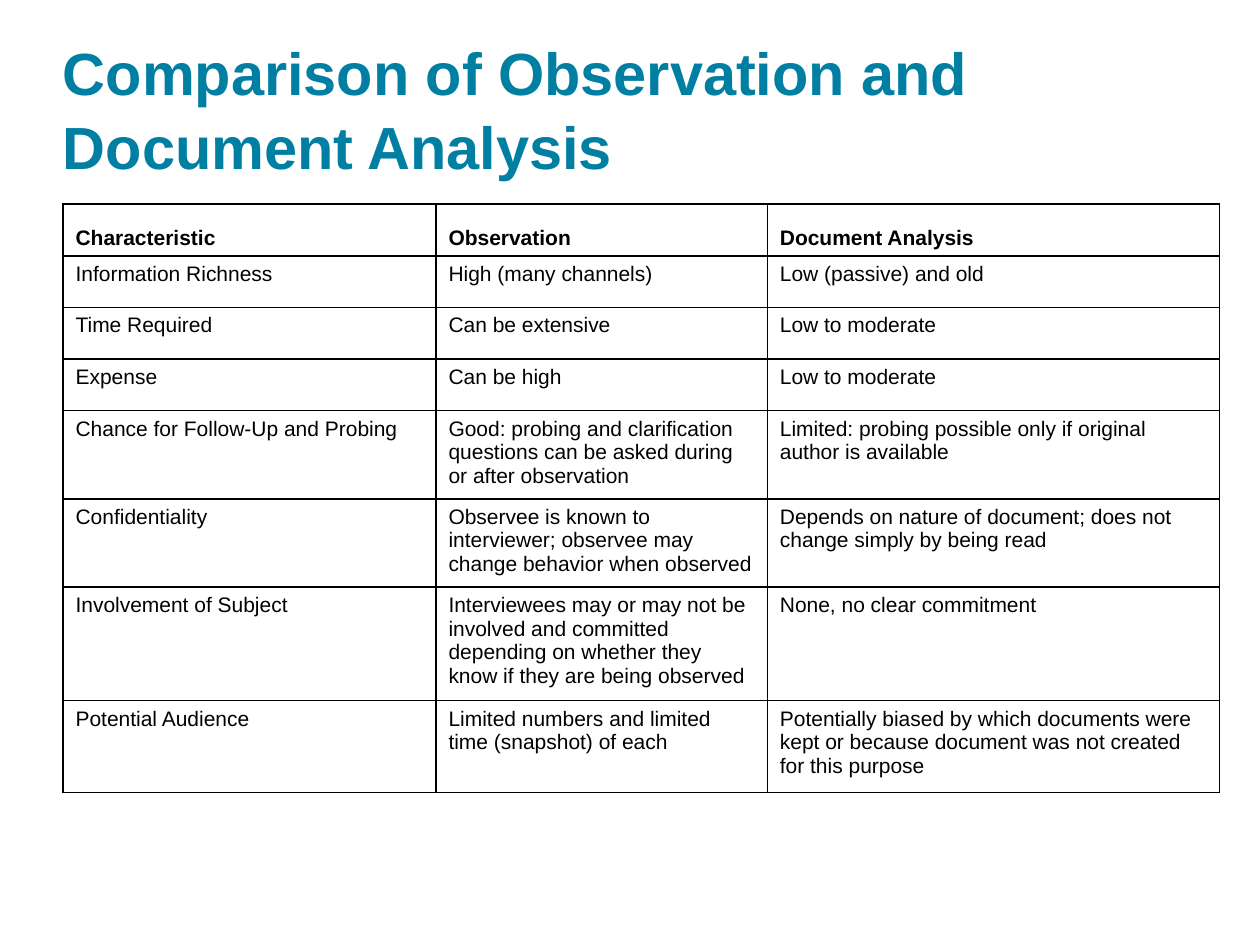
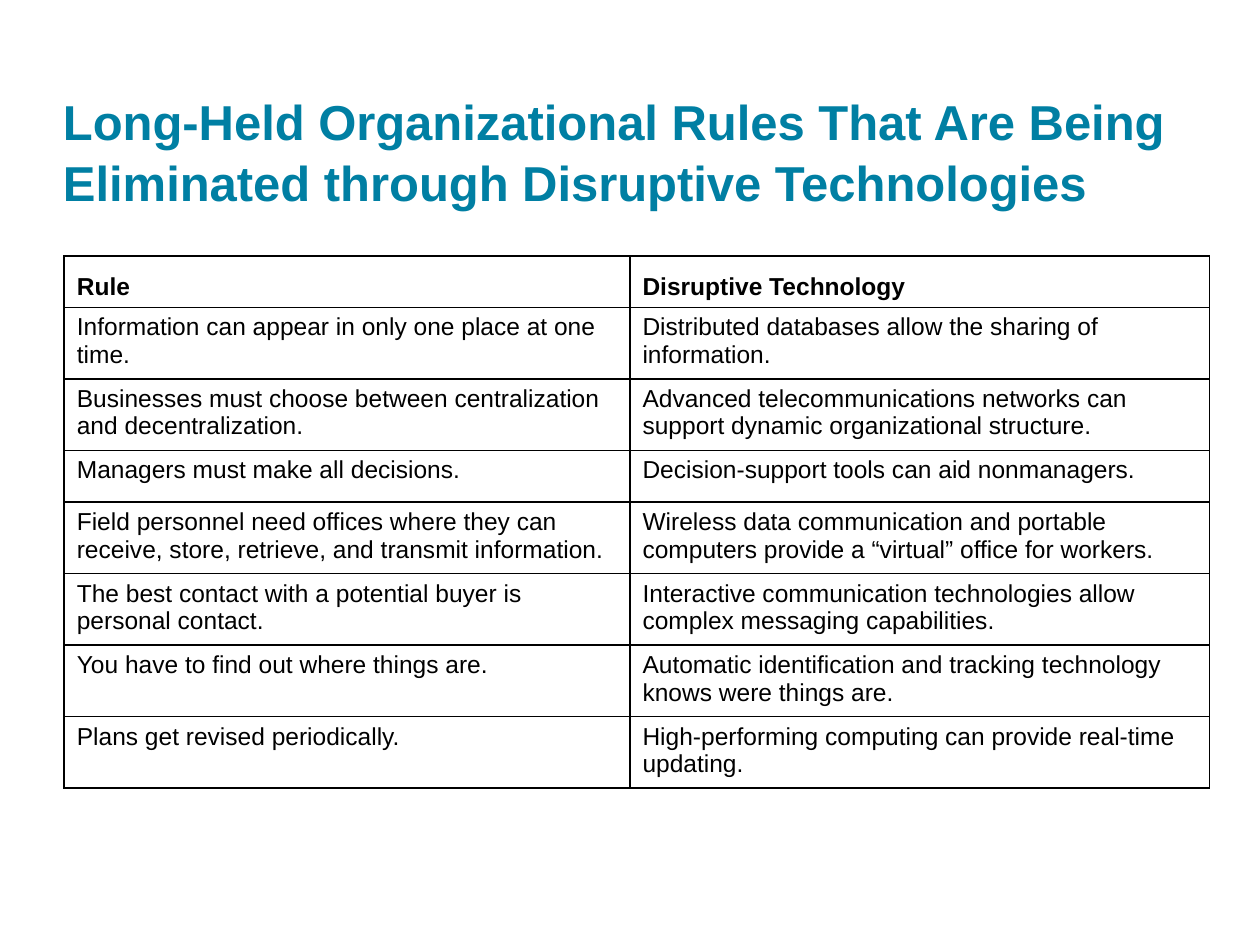
from dataclasses import dataclass

from lxml import etree
from pptx import Presentation
from pptx.dml.color import RGBColor
from pptx.enum.text import MSO_ANCHOR
from pptx.oxml.ns import qn
from pptx.util import Inches, Pt

TOP, BOTTOM = MSO_ANCHOR.TOP, MSO_ANCHOR.BOTTOM
BLANK_LAYOUT = 6

SLIDES = [
    {
        "title": "Comparison of Observation and Document Analysis",
        "title_size": 34,
        "title_height": 1.2,
        "table_at": (0.5, 1.62),
        "text_size": 12,
        "columns": [2.96, 2.63, 3.59],
        "last_row": 0.73,
        "rows": [
            ("Characteristic", "Observation", "Document Analysis"),
            ("Information Richness", "High (many channels)", "Low (passive) and old"),
            ("Time Required", "Can be extensive", "Low to moderate"),
            ("Expense", "Can be high", "Low to moderate"),
            ("Chance for Follow-Up and Probing",
             "Good: probing and clarification questions can be asked during or after observation",
             "Limited: probing possible only if original author is available"),
            ("Confidentiality",
             "Observee is known to interviewer; observee may change behavior when observed",
             "Depends on nature of document; does not change simply by being read"),
            ("Involvement of Subject",
             "Interviewees may or may not be involved and committed depending on whether they "
             "know if they are being observed",
             "None, no clear commitment"),
            ("Potential Audience",
             "Limited numbers and limited time (snapshot) of each",
             "Potentially biased by which documents were kept or because document was not "
             "created for this purpose"),
        ],
    },
    {
        "title": "Long-Held Organizational Rules That Are Being Eliminated through "
                 "Disruptive Technologies",
        "title_size": 28,
        "title_height": 1.44,
        "table_at": (0.51, 2.03),
        "text_size": 14,
        "columns": [4.49, 4.6],
        "last_row": 0.41,
        "rows": [
            ("Rule", "Disruptive Technology"),
            ("Information can appear in only one place at one time.",
             "Distributed databases allow the sharing of information."),
            ("Businesses must choose between centralization and decentralization.",
             "Advanced telecommunications networks can support dynamic organizational structure."),
            ("Managers must make all decisions.",
             "Decision-support tools can aid nonmanagers."),
            ("Field personnel need offices where they can receive, store, retrieve, and "
             "transmit information.",
             "Wireless data communication and portable computers provide a “virtual” office "
             "for workers."),
            ("The best contact with a potential buyer is personal contact.",
             "Interactive communication technologies allow complex messaging capabilities."),
            ("You have to find out where things are.",
             "Automatic identification and tracking technology knows were things are."),
            ("Plans get revised periodically.",
             "High-performing computing can provide real-time updating."),
        ],
    },
]


@dataclass(frozen=True)
class Theme:
    font: str = "Arial"
    title_color: str = "007FA3"
    text_color: str = "000000"
    border_color: str = "000000"
    border_width: float = 1
    title_spacing: float = 1.04
    title_left: float = 0.5
    title_top: float = 0.24
    title_width: float = 9
    row_height: float = 0.41


THEME = Theme()


def write_text(frame, text, *, size, color, bold=False, spacing=None):
    frame.word_wrap = True
    para = frame.paragraphs[0]
    para.line_spacing = spacing
    span = para.add_run()
    span.text = text
    span.font.name = THEME.font
    span.font.size = Pt(size)
    span.font.bold = bold
    span.font.color.rgb = RGBColor.from_string(color)


def add_title(page, content):
    box = page.shapes.add_textbox(
        Inches(THEME.title_left), Inches(THEME.title_top),
        Inches(THEME.title_width), Inches(content["title_height"]))
    frame = box.text_frame
    frame.margin_left = frame.margin_right = frame.margin_top = frame.margin_bottom = 0
    frame.vertical_anchor = BOTTOM
    write_text(frame, content["title"], size=content["title_size"],
               color=THEME.title_color, bold=True, spacing=THEME.title_spacing)


def add_borders(cell):
    properties = cell._tc.get_or_add_tcPr()
    for position, side in enumerate(("lnL", "lnR", "lnT", "lnB")):
        line = etree.Element(qn(f"a:{side}"), w=str(Pt(THEME.border_width)))
        fill = etree.SubElement(line, qn("a:solidFill"))
        etree.SubElement(fill, qn("a:srgbClr"), val=THEME.border_color)
        properties.insert(position, line)


def add_comparison(page, content):
    rows, columns = content["rows"], content["columns"]
    heights = [THEME.row_height] * (len(rows) - 1) + [content["last_row"]]
    left, top = content["table_at"]
    table = page.shapes.add_table(
        len(rows), len(columns), Inches(left), Inches(top),
        Inches(sum(columns)), Inches(sum(heights))).table
    table.first_row = table.horz_banding = False
    for column, width in zip(table.columns, columns):
        column.width = Inches(width)
    for row, height in zip(table.rows, heights):
        row.height = Inches(height)
    for row_number, texts in enumerate(rows):
        header = row_number == 0
        for column_number, text in enumerate(texts):
            cell = table.cell(row_number, column_number)
            cell.fill.background()
            cell.vertical_anchor = BOTTOM if header else TOP
            write_text(cell.text_frame, text, size=content["text_size"],
                       color=THEME.text_color, bold=header)
            add_borders(cell)


def main():
    deck = Presentation()
    deck.slide_width, deck.slide_height = Inches(10), Inches(7.5)
    for content in SLIDES:
        page = deck.slides.add_slide(deck.slide_layouts[BLANK_LAYOUT])
        add_title(page, content)
        add_comparison(page, content)
    deck.save("out.pptx")


if __name__ == "__main__":
    main()
